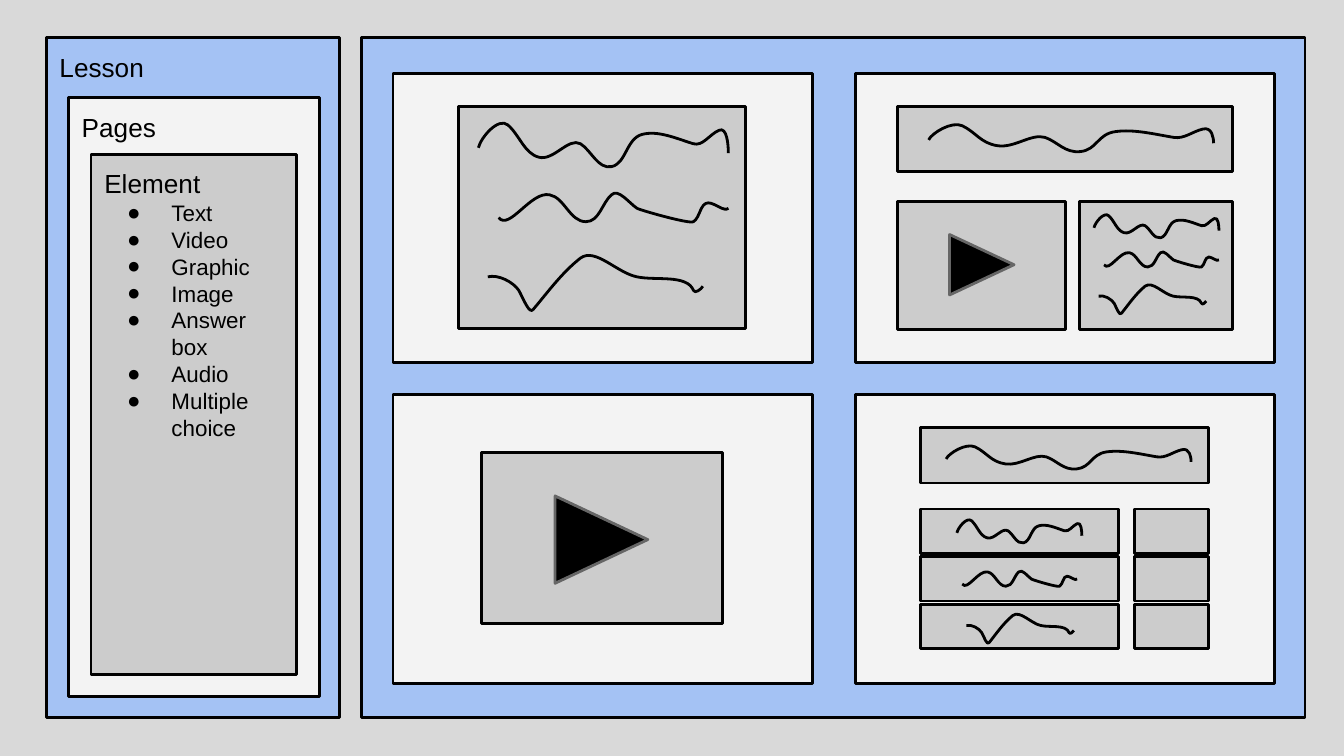
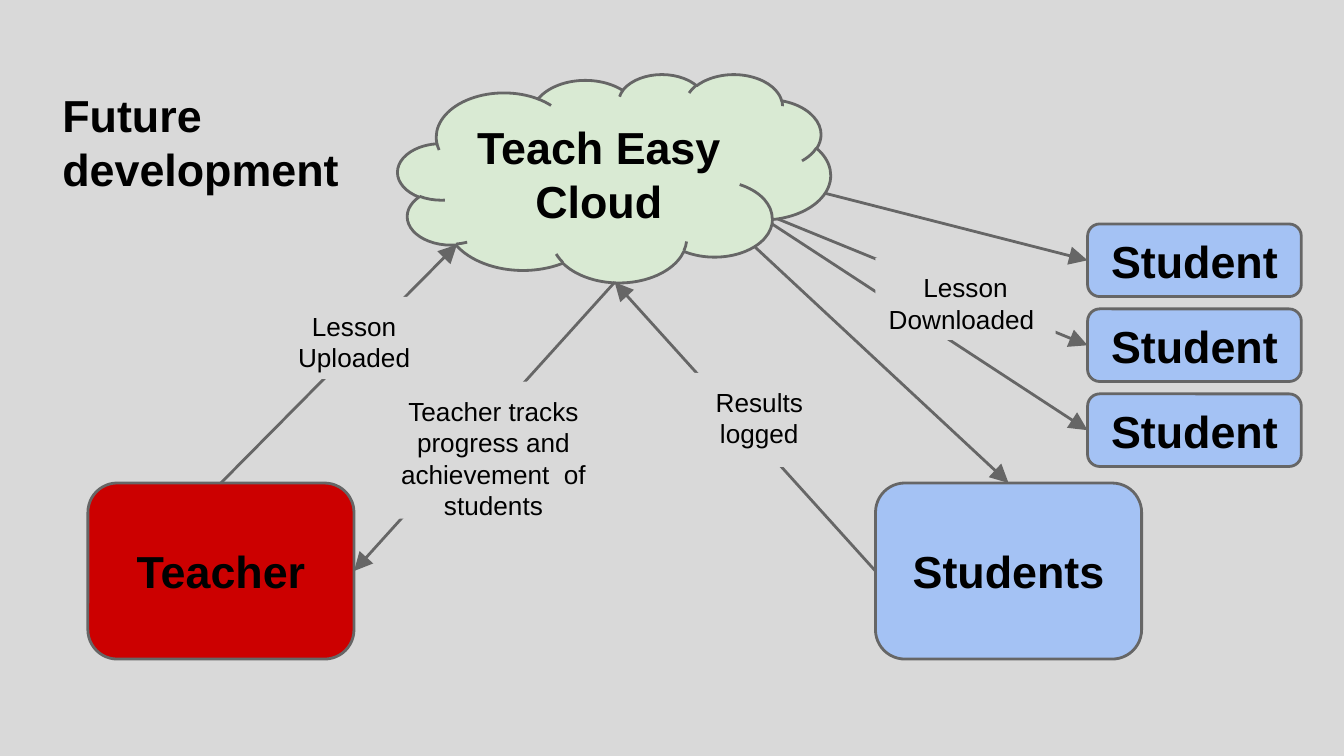
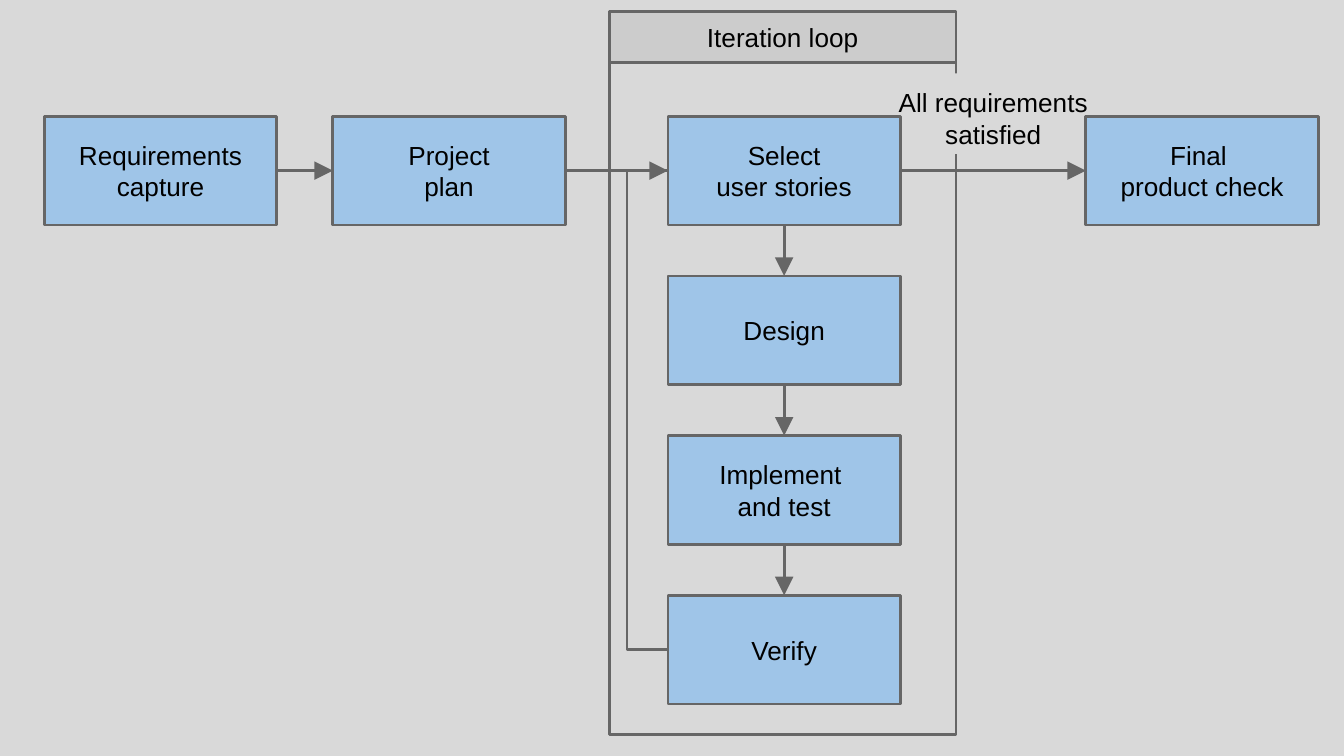
from dataclasses import dataclass
from itertools import pairwise

from lxml.etree import SubElement
from pptx import Presentation
from pptx.dml.color import RGBColor
from pptx.enum.shapes import MSO_CONNECTOR as Link, MSO_SHAPE as Form
from pptx.enum.text import MSO_ANCHOR as Anchor, MSO_AUTO_SIZE as AutoSize, PP_ALIGN as Align
from pptx.oxml.ns import qn
from pptx.util import Inches, Pt


@dataclass(frozen=True)
class Theme:
    font: str = "Arial"
    ink: str = "000000"
    backdrop: str = "D9D9D9"
    panel: str = "A4C2F4"
    paper: str = "F3F3F3"
    block: str = "CCCCCC"
    step: str = "9FC5E8"
    teacher: str = "CC0000"
    cloud: str = "D9EAD3"
    edge: str = "666666"
    stroke: float = 1.5
    heading: int = 24
    body: int = 14
    bullet: int = 12


THEME = Theme()
CELL = Inches(0.1)
COLUMNS, ROWS = 100, 56.25
TITLE_ONLY, BLANK = 5, 6
TOP, LEFT, BOTTOM, RIGHT = range(4)

HEADLINE = [(0, 18), (2, 10), (15, -5), (22, 1), (31, 9), (34, 22), (45, 25),
            (56, 28), (67, 10), (76, 15), (84, 20), (89, 34), (99, 32),
            (110, 30), (110, 11), (122, 8), (134, 5), (147, 11), (160, 15),
            (167, 17), (172, 8), (179, 5), (185, 2), (186, 16), (186, 22)]
MIDDLE = [(0, 20), (8, 30), (24, 0), (38, 3), (49, 5), (53, 23), (65, 23),
          (75, 23), (77, 9), (84, 3), (89, -2), (97, 9), (103, 13),
          (104, 14), (142, 25), (145, 23), (150, 20), (150, 9), (156, 9),
          (161, 9), (168, 16), (171, 13)]
CLOSING = [(0, 16), (8, 14), (19, 20), (23, 26), (26, 31), (31, 45), (34, 40),
           (45, 27), (55, 13), (69, 2), (80, -6), (96, 13), (111, 16),
           (125, 19), (148, 14), (153, 26), (154, 29), (159, 25), (160, 23)]


def grid(*cells):
    return [round(cell * CELL) for cell in cells]


def color(value):
    return RGBColor.from_string(value)


def outline(item, value):
    item.line.color.rgb = color(value)
    item.line.width = Pt(THEME.stroke)


def add_box(page, area, fill, edge=THEME.edge, form=Form.RECTANGLE):
    box = page.shapes.add_shape(form, *grid(*area))
    box.shadow.inherit = False
    box.fill.solid()
    box.fill.fore_color.rgb = color(fill)
    if edge:
        outline(box, edge)
    else:
        box.line.fill.background()
    return box


def add_para(frame, text, size, bold=False, align=Align.LEFT):
    first = frame.paragraphs[0]
    para = frame.add_paragraph() if first.runs else first
    para.alignment = align
    span = para.add_run()
    span.text = text
    span.font.name = THEME.font
    span.font.size = Pt(size)
    span.font.bold = bold
    span.font.color.rgb = color(THEME.ink)
    return para


def write(box, lines, size=THEME.body, bold=False, align=Align.CENTER, anchor=Anchor.MIDDLE):
    frame = box.text_frame
    frame.word_wrap = True
    frame.auto_size = AutoSize.NONE
    frame.vertical_anchor = anchor
    frame.margin_left = frame.margin_right = CELL
    frame.margin_top = frame.margin_bottom = CELL
    for line in lines:
        add_para(frame, line, size, bold, align)
    return box


def add_bullet(frame, text):
    para = add_para(frame, text, THEME.bullet)
    settings = para._p.get_or_add_pPr()
    settings.set("marL", str(Inches(0.5)))
    settings.set("indent", str(Inches(-0.33)))
    tint = SubElement(settings, qn("a:buClr"))
    SubElement(tint, qn("a:srgbClr"), val=THEME.ink)
    SubElement(settings, qn("a:buSzPts"), val=str(THEME.bullet * 100))
    SubElement(settings, qn("a:buFont"), typeface=THEME.font)
    SubElement(settings, qn("a:buChar"), char="●")


def is_point(end):
    return isinstance(end[0], (int, float))


def add_link(page, start, end, arrow=True, kind=Link.STRAIGHT):
    corners = [place if is_point(place) else (0, 0) for place in (start, end)]
    link = page.shapes.add_connector(kind, *grid(*corners[0], *corners[1]))
    if not is_point(start):
        link.begin_connect(*start)
    if not is_point(end):
        link.end_connect(*end)
    outline(link, THEME.edge)
    properties = link.element.spPr
    if arrow:
        SubElement(properties.get_or_add_ln(), qn("a:tailEnd"), type="triangle", w="lg", len="lg")
    SubElement(properties, qn("a:effectLst"))
    return link


def add_wave(page, controls, left, top, wide=1, high=1):
    points = [grid(left + x * wide / 10, top + y * high / 10) for x, y in controls]
    builder = page.shapes.build_freeform(*points[0])
    builder.add_line_segments(points[3::3], close=False)
    wave = builder.convert_to_shape()
    wave.shadow.inherit = False
    wave.fill.background()
    outline(wave, THEME.ink)
    for index, segment in enumerate(list(wave.element.iter(qn("a:lnTo")))):
        curve = SubElement(segment.getparent(), qn("a:cubicBezTo"))
        segment.getparent().replace(segment, curve)
        for x, y in points[3 * index + 1:3 * index + 4]:
            SubElement(curve, qn("a:pt"), x=str(x - wave.left), y=str(y - wave.top))


def add_text_block(page, area, left, top, wide=1, high=1):
    add_box(page, area, THEME.block, THEME.ink)
    for controls, right, down in ((HEADLINE, 0, 0), (MIDDLE, 1.5, 5), (CLOSING, 0.7, 9.8)):
        add_wave(page, controls, left + right * wide, top + down * high, wide, high)


def add_heading_block(page, area, left, top, wide, high):
    add_box(page, area, THEME.block, THEME.ink)
    add_wave(page, HEADLINE, left, top, wide, high)


def add_video(page, area, play_area):
    add_box(page, area, THEME.block, THEME.ink)
    add_box(page, play_area, THEME.ink, form=Form.ISOSCELES_TRIANGLE).rotation = 90


def add_quiz(page):
    waves = ((HEADLINE, 71.2, 38.7), (MIDDLE, 71.6, 42.4), (CLOSING, 71.9, 45.7))
    for row, (controls, left, top) in enumerate(waves):
        for column, width in ((68.5, 14.7), (84.4, 5.5)):
            add_box(page, (column, 37.88 + 3.54 * row, width, 3.3), THEME.block, THEME.ink)
        add_wave(page, controls, left, top, 0.5, 0.53)


def build_lesson(deck):
    page = deck.slides.add_slide(deck.slide_layouts[BLANK])
    add_box(page, (26.9, 2.8, 70.2, 50.6), THEME.panel, THEME.ink)
    levels = (("Lesson", (3.44, 2.8, 21.8, 50.6), THEME.panel),
              ("Pages", (5.1, 7.26, 18.7, 44.6), THEME.paper),
              ("Element", (6.78, 11.48, 15.3, 38.7), THEME.block))
    for name, area, fill in levels:
        level = write(add_box(page, area, fill, THEME.ink), [name],
                      align=Align.LEFT, anchor=Anchor.TOP)
    for kind in ("Text", "Video", "Graphic", "Image", "Answer box", "Audio", "Multiple choice"):
        add_bullet(level.text_frame, kind)
    for left in (29.24, 63.64):
        for top in (5.46, 29.34):
            add_box(page, (left, top, 31.2, 21.5), THEME.paper, THEME.ink)
    add_text_block(page, (34.1, 7.95, 21.4, 16.5), 35.6, 9.2)
    add_heading_block(page, (66.8, 7.95, 24.9, 4.8), 69.1, 9.3, 1.14, 0.62)
    add_video(page, (66.8, 15, 12.5, 9.5), (70.8, 17.3, 4.5, 4.8))
    add_text_block(page, (80.3, 15, 11.4, 9.5), 81.4, 16, 0.5, 0.53)
    add_video(page, (35.85, 33.7, 17.9, 12.7), (41.5, 36.7, 6.5, 6.9))
    add_heading_block(page, (68.5, 31.84, 21.4, 4.1), 70.4, 33.2, 0.98, 0.53)
    add_quiz(page)


def add_role(page, name, area, fill, form=Form.ROUNDED_RECTANGLE):
    return write(add_box(page, area, fill, form=form), [name], THEME.heading, True)


def add_label(page, lines, area):
    return write(add_box(page, area, THEME.backdrop, None), lines, anchor=Anchor.TOP)


def build_future(deck):
    page = deck.slides.add_slide(deck.slide_layouts[TITLE_ONLY])
    title = page.shapes.title
    title.left, title.top, title.width, title.height = grid(3.64, 5.54, 22.7, 10.2)
    write(title, ["Future development"], THEME.heading, True, Align.LEFT, Anchor.TOP)

    teacher = add_role(page, "Teacher", (6.54, 35.94, 19.8, 13.1), THEME.teacher)
    group = add_role(page, "Students", (65.14, 35.94, 19.8, 13.1), THEME.panel)
    for row, start in enumerate(((59.5, 13.9), (57.4, 16.1), (57.2, 16.5))):
        student = add_role(page, "Student", (80.92, 16.67 + 6.32 * row, 15.9, 5.4), THEME.panel)
        add_link(page, start, (student, LEFT))
    add_link(page, (54.8, 17.1), (group, TOP))
    add_role(page, "Teach Easy Cloud", (29.6, 5.5, 32.2, 15.5), THEME.cloud, Form.CLOUD)
    cloud_foot = (45.74, 21)
    add_link(page, (teacher, TOP), (34, 18.2))
    add_link(page, (group, LEFT), cloud_foot)
    add_link(page, cloud_foot, (teacher, RIGHT))

    add_label(page, ["Lesson", "Uploaded"], (20.8, 22.1, 11.1, 6.1))
    download = add_label(page, ["Lesson", "Downloaded"], (65.14, 19.2, 13.4, 6.1))
    download.text_frame.paragraphs[1].alignment = Align.LEFT
    add_label(page, ["Teacher tracks progress and achievement  of students"],
              (27.97, 28.4, 17.5, 10.2))
    add_label(page, ["Results logged"], (49.35, 27.74, 14.3, 7))


def add_step(page, lines, left, row=0):
    area = (left, 8.65 + 11.88 * row, 17.3, 8.1)
    return write(add_box(page, area, THEME.step, form=Form.FLOWCHART_PROCESS), lines)


def add_return(page, start, end, reach):
    link = add_link(page, (start, LEFT), (end, LEFT), arrow=False, kind=Link.ELBOW)
    sliver = CELL // 10
    link.end_x += sliver
    bend = -round(reach * CELL / sliver * 100000)
    guides = link.element.spPr.find(qn("a:prstGeom")).get_or_add_avLst()
    SubElement(guides, qn("a:gd"), name="adj1", fmla=f"val {bend}")


def build_process(deck):
    page = deck.slides.add_slide(deck.slide_layouts[BLANK])
    add_box(page, (45.34, 4.64, 25.8, 50), THEME.backdrop)
    capture = add_step(page, ["Requirements", "capture"], 3.3)
    plan = add_step(page, ["Project", "plan"], 24.77)
    write(add_box(page, (45.34, 0.84, 25.8, 3.8), THEME.block), ["Iteration loop"])
    add_label(page, ["All requirements satisfied"], (65.26, 5.46, 17.3, 6))
    loop = [add_step(page, lines, 49.7, row) for row, lines in enumerate(
        (["Select", "user stories"], ["Design"], ["Implement ", "and test"], ["Verify"]))]
    final = add_step(page, ["Final ", "product check"], 80.8)

    for before, after in pairwise((capture, plan, loop[0], final)):
        add_link(page, (before, RIGHT), (after, LEFT))
    for before, after in pairwise(loop):
        add_link(page, (before, BOTTOM), (after, TOP))
    add_return(page, loop[-1], loop[0], 3.1)


def main():
    deck = Presentation()
    deck.slide_width, deck.slide_height = grid(COLUMNS, ROWS)
    backdrop = deck.slide_master.background.fill
    backdrop.solid()
    backdrop.fore_color.rgb = color(THEME.backdrop)
    build_lesson(deck)
    build_future(deck)
    build_process(deck)
    deck.save("out.pptx")


if __name__ == "__main__":
    main()
